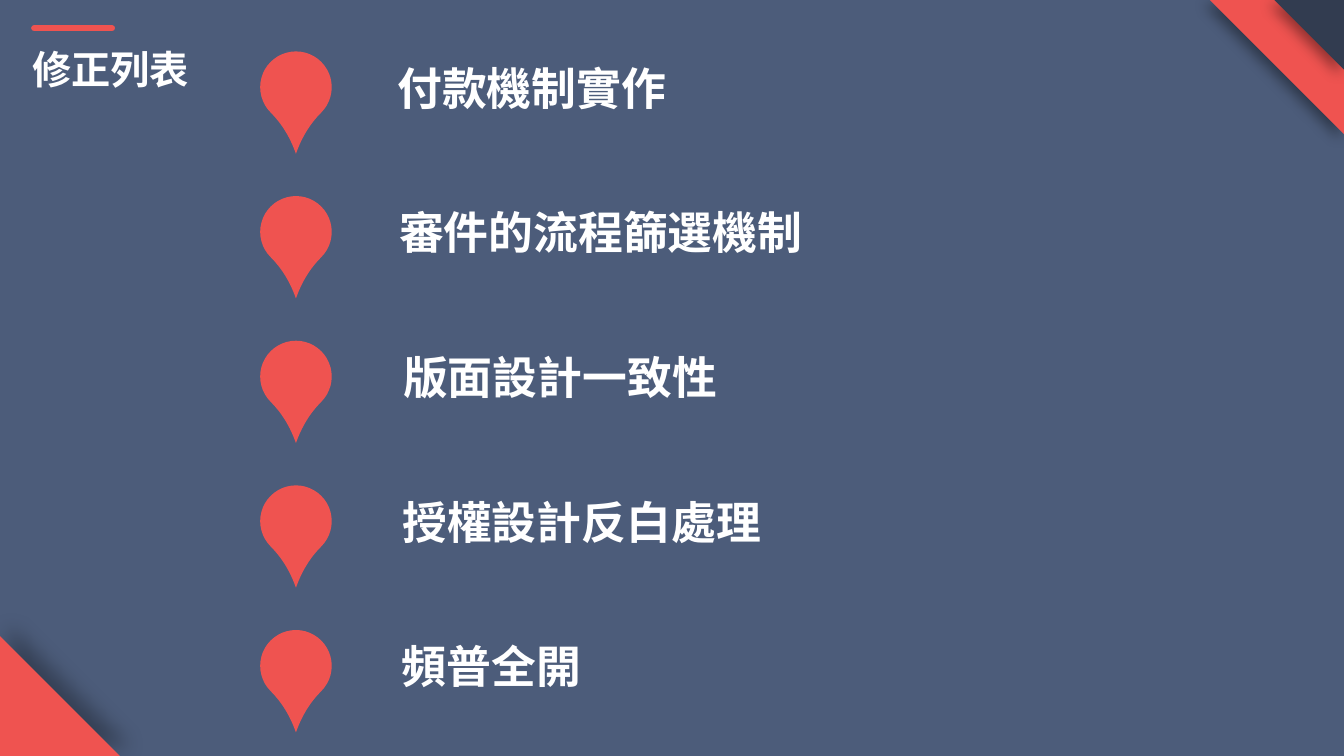
import pptx
import pptx.util
import pptx.dml.color
import pptx.enum.shapes
import pptx.enum.text
import pptx.oxml
import pptx.oxml.ns
from lxml import etree

Inches, Pt = pptx.util.Inches, pptx.util.Pt
RGBColor = pptx.dml.color.RGBColor
SHAPE = pptx.enum.shapes.MSO_SHAPE
ALIGN = pptx.enum.text.PP_ALIGN
qn = pptx.oxml.ns.qn

SLATE = RGBColor(0x4C, 0x5C, 0x7A)
CORAL = RGBColor(0xEF, 0x53, 0x50)
NAVY = RGBColor(0x32, 0x3C, 0x50)
WHITE = RGBColor(0xFF, 0xFF, 0xFF)

# Text, left and width of each centred label
ITEMS = [
    ("付款機制實作", 3.18, 4.19),
    ("審件的流程篩選機制", 3.74, 4.44),
    ("版面設計一致性", 3.43, 4.25),
    ("授權設計反白處理", 3.49, 4.56),
    ("頻普全開", 3.07, 3.61),
]
PIN_TOP, LABEL_TOP, ROW_STEP = 0.51, 0.55, 1.435


def add_solid(shapes, kind, left, top, size, color, rotation=0):
    sp = shapes.add_shape(kind, Inches(left), Inches(top),
                          Inches(size), Inches(size))
    sp.shadow.inherit = False
    sp.fill.solid()
    sp.fill.fore_color.rgb = color
    sp.line.fill.background()
    sp.rotation = rotation
    return sp


def add_shadow(sp, opacity, blur, distance, angle):
    effects = sp._element.spPr.find(qn("a:effectLst"))
    shadow = etree.SubElement(effects, qn("a:outerShdw"), {
        "blurRad": str(Pt(blur)), "dist": str(Pt(distance)),
        "dir": str(angle * 60000), "algn": "ctr", "rotWithShape": "0"})
    color = etree.SubElement(shadow, qn("a:srgbClr"), val="000000")
    etree.SubElement(color, qn("a:alpha"), val=str(opacity * 1000))


def add_top_corner(s, left, size, color):
    sp = add_solid(s.shapes, SHAPE.RIGHT_TRIANGLE, left, 0, size, color, 90)
    sp._element.spPr.find(qn("a:xfrm")).set("flipV", "1")
    add_shadow(sp, 40, 10, 5, 135)


def add_text(shapes, text, box, size, align=ALIGN.LEFT, wrap=True):
    tf = shapes.add_textbox(*map(Inches, box)).text_frame
    tf.word_wrap = wrap
    tf.auto_size = pptx.enum.text.MSO_AUTO_SIZE.SHAPE_TO_FIT_TEXT
    p = tf.paragraphs[0]
    p.alignment = align
    r = p.add_run()
    r.text = text
    for name, value in {"name": "Arial", "size": Pt(size), "bold": True}.items():
        setattr(r.font, name, value)
    r.font.color.rgb = WHITE


def add_accent_line(s, left, right, y):
    line = s.shapes.add_connector(
        pptx.enum.shapes.MSO_CONNECTOR.STRAIGHT,
        Inches(left), Inches(y), Inches(right), Inches(y))
    line.line.color.rgb = CORAL
    line.line.width = Pt(4.5)
    spPr = line._element.spPr
    spPr.find(qn("a:ln")).set("cap", "rnd")
    etree.SubElement(spPr, qn("a:effectLst"))


def add_item(s, row, text, left, width):
    shapes = s.shapes.add_group_shape().shapes
    offset = row * ROW_STEP
    pin = add_solid(shapes, SHAPE.TEAR, 2.58, PIN_TOP + offset, 0.71, CORAL, 135)
    pin.adjustments[0] = 1.316
    add_text(shapes, text, (left, LABEL_TOP + offset, width, 0.64), 32,
             ALIGN.CENTER)


def main():
    prs = pptx.Presentation()
    prs.slide_width, prs.slide_height = Inches(13.33), Inches(7.5)
    s = prs.slides.add_slide(prs.slide_layouts[6])
    s.background.fill.solid()
    s.background.fill.fore_color.rgb = SLATE

    # Corner triangles
    add_top_corner(s, 12, 1.33, CORAL)
    corner = add_solid(s.shapes, SHAPE.RIGHT_TRIANGLE, 0, 6.31, 1.19, CORAL)
    add_shadow(corner, 30, 15, 10, 315)
    add_top_corner(s, 12.64, 0.69, NAVY)

    # Title
    add_accent_line(s, 0.34, 1.11, 0.28)
    add_text(s.shapes, "修正列表", (0.22, 0.4, 1.77, 0.57), 28, wrap=False)

    # Pinned list
    for row, item in enumerate(ITEMS):
        add_item(s, row, *item)

    prs.save("out.pptx")


main()
